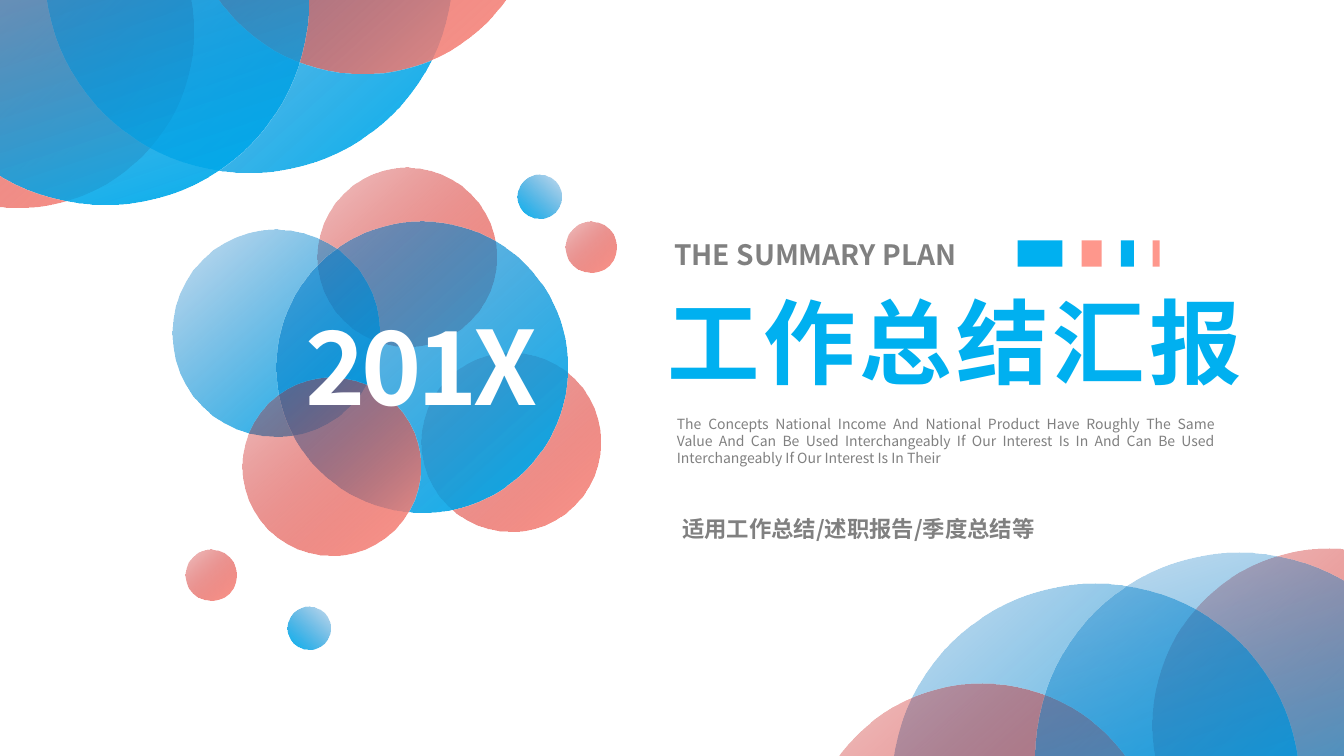
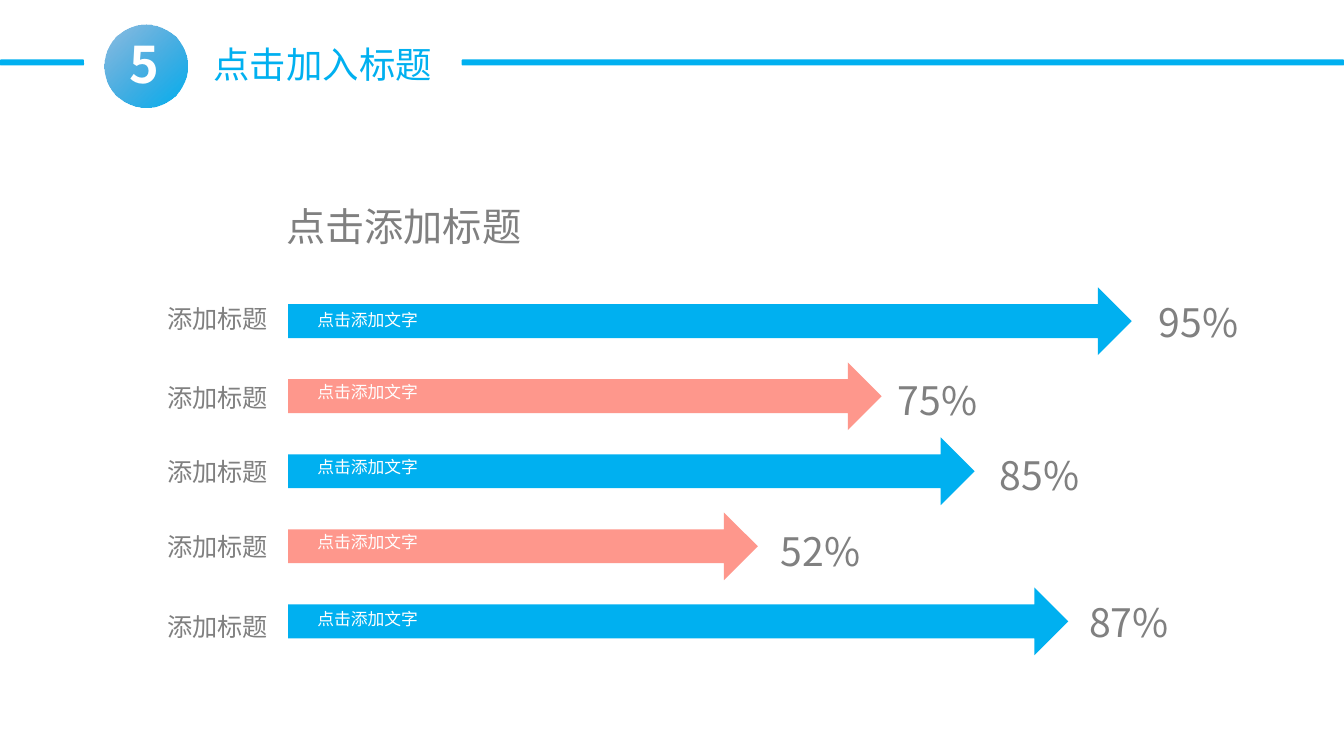
from lxml import etree
from pptx import Presentation
from pptx.dml import color as c
from pptx.enum import shapes, text
from pptx.oxml import ns
from pptx.util import Pt

HUES = {"blue": "00B0F0", "deep": "0070C0", "pink": "FE978C",
        "red": "C00000", "gray": "808080", "white": "FFFFFF"}
FADES = {"blue": "deep", "pink": "red"}
FACE = "Noto Sans CJK SC"
FORM = shapes.MSO_SHAPE
LEFT, MID, FULL = text.PP_ALIGN.LEFT, text.PP_ALIGN.CENTER, text.PP_ALIGN.JUSTIFY


class Deck:
    """Holds the deck style and the current slide, and draws each kind of element."""

    def __init__(self):
        self.show = Presentation()
        self.show.slide_width, self.show.slide_height = Pt(960), Pt(540)
        self.page = None

    def next(self):
        self.page = self.show.slides.add_slide(self.show.slide_layouts[6])

    def shape(self, form, x, y, w, h):
        item = self.page.shapes.add_shape(form, Pt(x), Pt(y), Pt(w), Pt(h))
        item.shadow.inherit = False
        item.line.fill.background()
        return item

    def block(self, form, hue, x, y, w, h):
        item = self.shape(form, x, y, w, h)
        item.fill.solid()
        item.fill.fore_color.rgb = c.RGBColor.from_string(HUES[hue])
        return item

    def bubble(self, hue, x, y, size, turn=48, alpha=22):
        fill = self.shape(FORM.OVAL, x, y, size, size).fill
        fill.gradient()
        fill.gradient_angle = 360 - turn
        for stop, spot, name in zip(fill.gradient_stops, (0, 1), (FADES[hue], hue)):
            stop.position = spot
            stop.color.rgb = c.RGBColor.from_string(HUES[name])
            if spot == 0:
                tint = stop._gs.find(ns.qn("a:srgbClr"))
                etree.SubElement(tint, ns.qn("a:alpha"), val=str(alpha * 1000))

    def text(self, words, x, y, w, h, size, hue="gray", bold=False,
             align=LEFT, gap=0, inset=(7.2, 3.6)):
        frame = self.page.shapes.add_textbox(Pt(x), Pt(y), Pt(w), Pt(h)).text_frame
        frame.word_wrap = True
        frame.margin_left = frame.margin_right = Pt(inset[0])
        frame.margin_top = frame.margin_bottom = Pt(inset[1])
        para = frame.paragraphs[0]
        para.text = words
        para.alignment = align
        font = para.font
        font.name, font.size, font.bold = FACE, Pt(size), bold
        font.color.rgb = c.RGBColor.from_string(HUES[hue])
        etree.SubElement(font._element, ns.qn("a:ea"), typeface=FACE)
        if gap:
            font._element.set("spc", str(gap * 100))

    def head(self, mark, title):
        self.text(title, 145.5, 26.6, 174, 39, 26, "blue")
        for x, w in ((329.8, 630.2), (0, 60)):
            self.block(FORM.ROUNDED_RECTANGLE, "blue", x, 42.5, w, 4.3)
        self.bubble("blue", 74.6, 17.5, 59.5, alpha=44)
        self.text(mark, 56.2, 20.2, 94.3, 51, 36, "white", True, MID, -3)


def cover(deck):
    deck.next()
    big, wide, mid, dot, pea = 252, 291, 127.6, 36.6, 31
    for spot in (("pink", -114, -103.5, big), ("blue", 32, -167.5, wide),
                 ("pink", 133, -199.5, big), ("blue", -70.5, -145, wide, 72)):
        deck.bubble(*spot)
    deck.text("The Concepts National Income And National Product Have Roughly The Same "
              "Value And Can Be Used Interchangeably If Our Interest Is In And Can Be Used "
              "Interchangeably If Our Interest Is In Their",
              478.4, 294.3, 394, 54, 10, align=FULL, inset=(5.1, 2.6))
    deck.text("工作总结汇报", 469.4, 200, 461.5, 87, 66, "blue", True, gap=3)
    deck.text("适用工作总结/述职报告/季度总结等", 437.8, 364.3, 350.6, 27, 16,
              bold=True, align=MID)
    for spot in (("pink", 823, 392, big), ("blue", 637, 416.5, wide),
                 ("pink", 575.5, 488, big), ("blue", 740, 394.5, wide, 72),
                 ("pink", 227, 119.7, mid), ("pink", 301, 252, mid),
                 ("blue", 123.2, 164, 147.6), ("blue", 197.8, 158.4, 207.4, 48, 44),
                 ("blue", 370, 125, pea, 132), ("pink", 404, 158.4, dot),
                 ("pink", 173, 269.4, mid), ("blue", 205.3, 433.2, pea, 132),
                 ("pink", 132.5, 392.5, dot)):
        deck.bubble(*spot)
    deck.text("201X", 199.4, 213, 203.8, 99.4, 73, "white", True, MID, -3)
    for hue, x, w in (("blue", 726.8, 32), ("pink", 772.6, 14.4),
                      ("blue", 800.6, 9.4), ("pink", 823.4, 5)):
        deck.block(FORM.RECTANGLE, hue, x, 171.8, w, 18.7)
    deck.text("THE SUMMARY PLAN", 474.5, 166.3, 265.7, 31.7, 20, bold=True)


def arrows(deck):
    deck.next()
    deck.head("5", "点击加入标题")
    deck.text("点击添加标题", 198.7, 141.8, 184, 40, 28, inset=(5.8, 2.9))
    rows = (("95%", 602.6, 213, 217.4, 820.8, 209.5),
            ("75%", 424, 269.2, 269.3, 634.3, 265),
            ("85%", 490.3, 322.6, 322.6, 707, 319),
            ("52%", 335.5, 376, 376.6, 550.8, 373),
            ("87%", 557.3, 433.4, 431.3, 771, 424))
    for i, (rate, span, name, note, x, y) in enumerate(rows):
        deck.text("添加标题", 112.3, name, 88, 29, 18)
        deck.block(FORM.RIGHT_ARROW, ("blue", "pink")[i % 2],
                   205.8, 205.2 + 53.6 * i, span, 48.4)
        deck.text("点击添加文字", 219.6, note, 88, 22, 12, "white")
        deck.text(rate, x, y, 86, 41, 28)


def main():
    deck = Deck()
    cover(deck)
    arrows(deck)
    deck.show.save("out.pptx")


if __name__ == "__main__":
    main()
